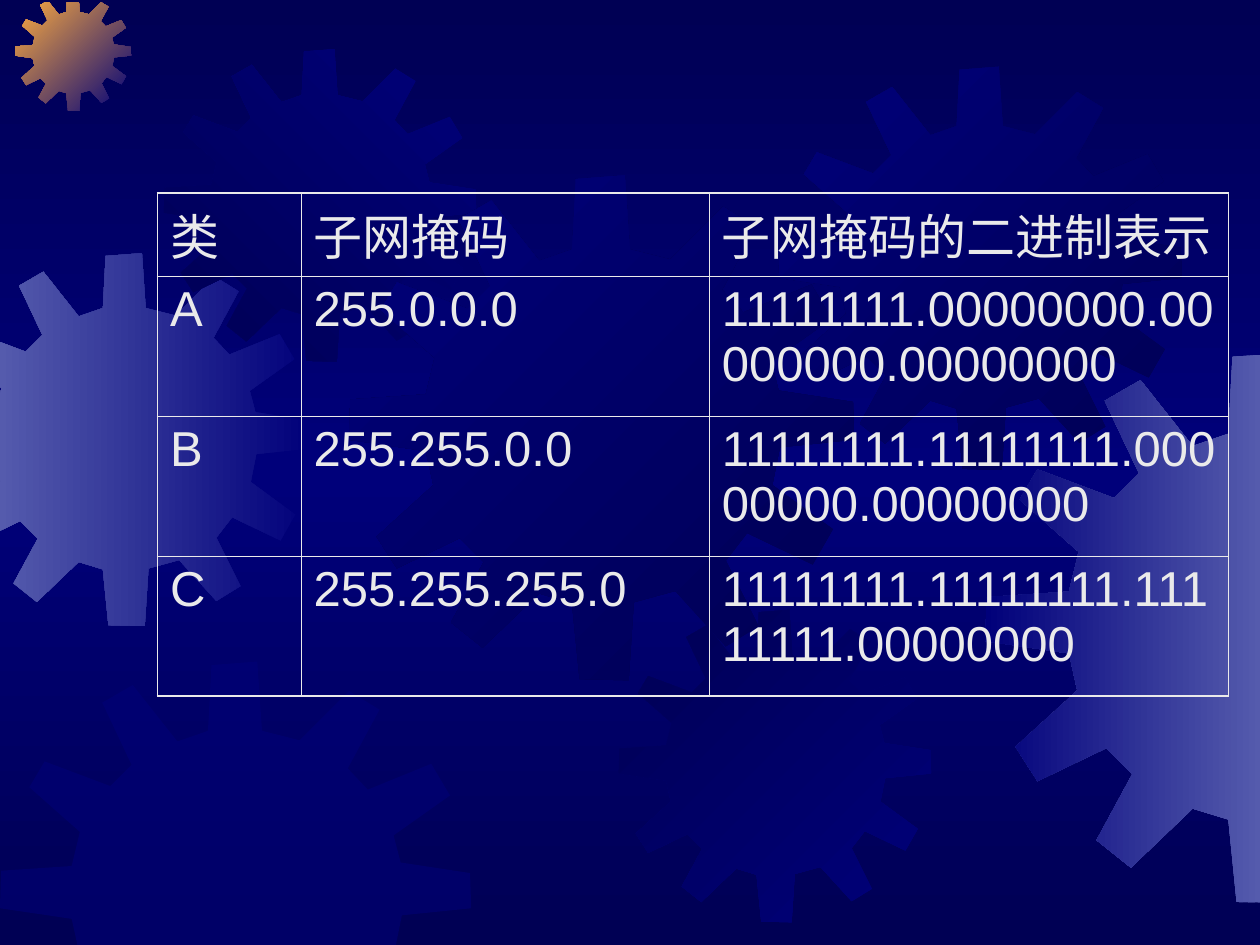
"""Build a slide with a subnet mask table over a background of gears."""
from copy import deepcopy

from lxml import etree
from pptx import Presentation
from pptx.dml.color import RGBColor
from pptx.enum.text import MSO_ANCHOR
from pptx.oxml.ns import qn
from pptx.util import Inches, Pt

TOP = MSO_ANCHOR.TOP
COLORS = {"navy": "000054", "blue": "00007A", "steel": "555BAD",
          "orange": "FCAB40", "pale": "EAEAEA"}
ROWS = [
    ("类", "子网掩码", "子网掩码的二进制表示"),
    ("A", "255.0.0.0", "11111111.00000000.00000000.00000000"),
    ("B", "255.255.0.0", "11111111.11111111.00000000.00000000"),
    ("C", "255.255.255.0", "11111111.11111111.11111111.00000000"),
]
TABLE_LEFT, TABLE_TOP = 1.25, 1.53
COLUMN_WIDTHS = (1.14, 3.24, 4.12)
ROW_HEIGHTS = (0.57, 1.11, 1.11, 1.11)
INNER_LINE, OUTER_LINE = 0.45, 1.08

# left, top, size, start colour, end colour, clockwise angle
GEARS = [
    (-0.49, 2.01, 2.96, "blue", "steel", 180),
    (0.12, -0.04, 0.92, "blue", "orange", 225),
    (1.3, 0.39, 2.48, "blue", "navy", 135),
    (2.77, 1.39, 4.01, "navy", "blue", 225),
    (0, 5.25, 3.74, "blue", None, None),
    (4.91, 4.84, 2.48, "blue", "navy", 225),
    (6.18, 0.53, 3.2, "navy", "blue", 225),
    (7.82, 2.8, 4.37, "steel", "blue", 180),
]
GEAR_SPAN = 4.01
GEAR_OUTLINE = [
    (2.55, 0.67), (2.23, 0.59), (2.19, 0), (1.8, 0.03), (1.77, 0.59), (1.51, 0.68),
    (1.13, 0.2), (0.87, 0.35), (1.12, 0.88), (0.94, 1.06), (0.38, 0.85), (0.25, 1.07),
    (0.68, 1.45), (0.61, 1.74), (0.01, 1.78), (0, 2.1), (0.61, 2.19), (0.67, 2.46),
    (0.22, 2.87), (0.38, 3.12), (0.88, 2.88), (1.07, 3.07), (0.81, 3.55), (1.06, 3.75),
    (1.51, 3.32), (1.77, 3.4), (1.83, 4), (2.22, 4.01), (2.26, 3.39), (2.59, 3.3),
    (2.99, 3.74), (3.25, 3.58), (2.99, 3.06), (3.16, 2.84), (3.68, 3.09), (3.84, 2.81),
    (3.36, 2.46), (3.42, 2.16), (4.01, 2.1), (4, 1.8), (3.41, 1.71), (3.35, 1.48),
    (3.83, 1.14), (3.67, 0.87), (3.13, 1.09), (2.96, 0.91), (3.23, 0.41), (2.97, 0.25),
]
# axis, limit, side that is kept
EDGES = [(0, -0.01, 1), (0, 10.01, -1), (1, 0.02, 1), (1, 7.54, -1)]


def rgb(name):
    return RGBColor.from_string(COLORS[name])


def clip(points, axis, limit, side):
    kept = []
    for first, second in zip(points[-1:] + points[:-1], points):
        before, after = (side * (point[axis] - limit) for point in (first, second))
        if before * after < 0:
            share = before / (before - after)
            kept.append(tuple(a + share * (b - a) for a, b in zip(first, second)))
        if after >= 0:
            kept.append(second)
    return kept


def set_gradient(fill, start, end, angle):
    fill.gradient()
    fill.gradient_angle = (360 - angle) % 360
    for stop, name, position in zip(fill.gradient_stops, (start, end), (0, 1)):
        stop.color.rgb = rgb(name)
        stop.position = position


def paint_background(page):
    set_gradient(page.background.fill, "navy", "blue", 90)
    stops = next(page._element.iter(qn("a:gsLst")))
    stops[1].set("pos", "50000")
    last = deepcopy(stops[0])
    last.set("pos", "100000")
    stops.append(last)


def add_gear(page, left, top, size, start, end, angle):
    scale = size / GEAR_SPAN
    points = [(left + x * scale, top + y * scale) for x, y in GEAR_OUTLINE]
    for edge in EDGES:
        points = clip(points, *edge)
    points = [(Inches(x), Inches(y)) for x, y in points]
    builder = page.shapes.build_freeform(*points[0])
    builder.add_line_segments(points[1:], close=True)
    gear = builder.convert_to_shape()
    gear.shadow.inherit = False
    gear.line.fill.background()
    if end:
        set_gradient(gear.fill, start, end, angle)
    else:
        gear.fill.solid()
        gear.fill.fore_color.rgb = rgb(start)
        color = next(gear._element.spPr.iter(qn("a:srgbClr")))
        etree.SubElement(color, qn("a:alpha"), val="50000")


def set_borders(cell, outer_sides):
    properties = cell._tc.get_or_add_tcPr()
    for index, side in enumerate(("lnL", "lnR", "lnT", "lnB")):
        width = OUTER_LINE if side in outer_sides else INNER_LINE
        line = etree.Element(qn("a:" + side), w=str(Pt(width)))
        solid = etree.SubElement(line, qn("a:solidFill"))
        etree.SubElement(solid, qn("a:srgbClr"), val=COLORS["pale"])
        properties.insert(index, line)


def add_mask_table(page):
    frame = page.shapes.add_table(
        len(ROWS), len(COLUMN_WIDTHS), Inches(TABLE_LEFT), Inches(TABLE_TOP),
        Inches(sum(COLUMN_WIDTHS)), Inches(sum(ROW_HEIGHTS)))
    table = frame.table
    table.first_row = table.horz_banding = False
    for column, width in zip(table.columns, COLUMN_WIDTHS):
        column.width = Inches(width)
    for row, height in zip(table.rows, ROW_HEIGHTS):
        row.height = Inches(height)
    last_row, last_column = len(ROWS) - 1, len(COLUMN_WIDTHS) - 1
    for r, texts in enumerate(ROWS):
        for c, text in enumerate(texts):
            cell = table.cell(r, c)
            cell.fill.background()
            cell.vertical_anchor = TOP
            cell.margin_left = cell.margin_right = Inches(0.1)
            cell.margin_top = cell.margin_bottom = Inches(0.05)
            sides = {"lnL": c == 0, "lnR": c == last_column,
                     "lnT": r == 0, "lnB": r == last_row}
            set_borders(cell, [side for side, outer in sides.items() if outer])
            span = cell.text_frame.paragraphs[0].add_run()
            span.text = text
            span.font.name = "Arial"
            span.font.size = Pt(28)
            span.font.color.rgb = rgb("pale")


def main():
    deck = Presentation()
    deck.slide_width, deck.slide_height = Inches(10), Inches(7.5)
    page = deck.slides.add_slide(deck.slide_layouts[6])
    paint_background(page)
    for gear in GEARS:
        add_gear(page, *gear)
    add_mask_table(page)
    deck.save("out.pptx")


if __name__ == "__main__":
    main()
